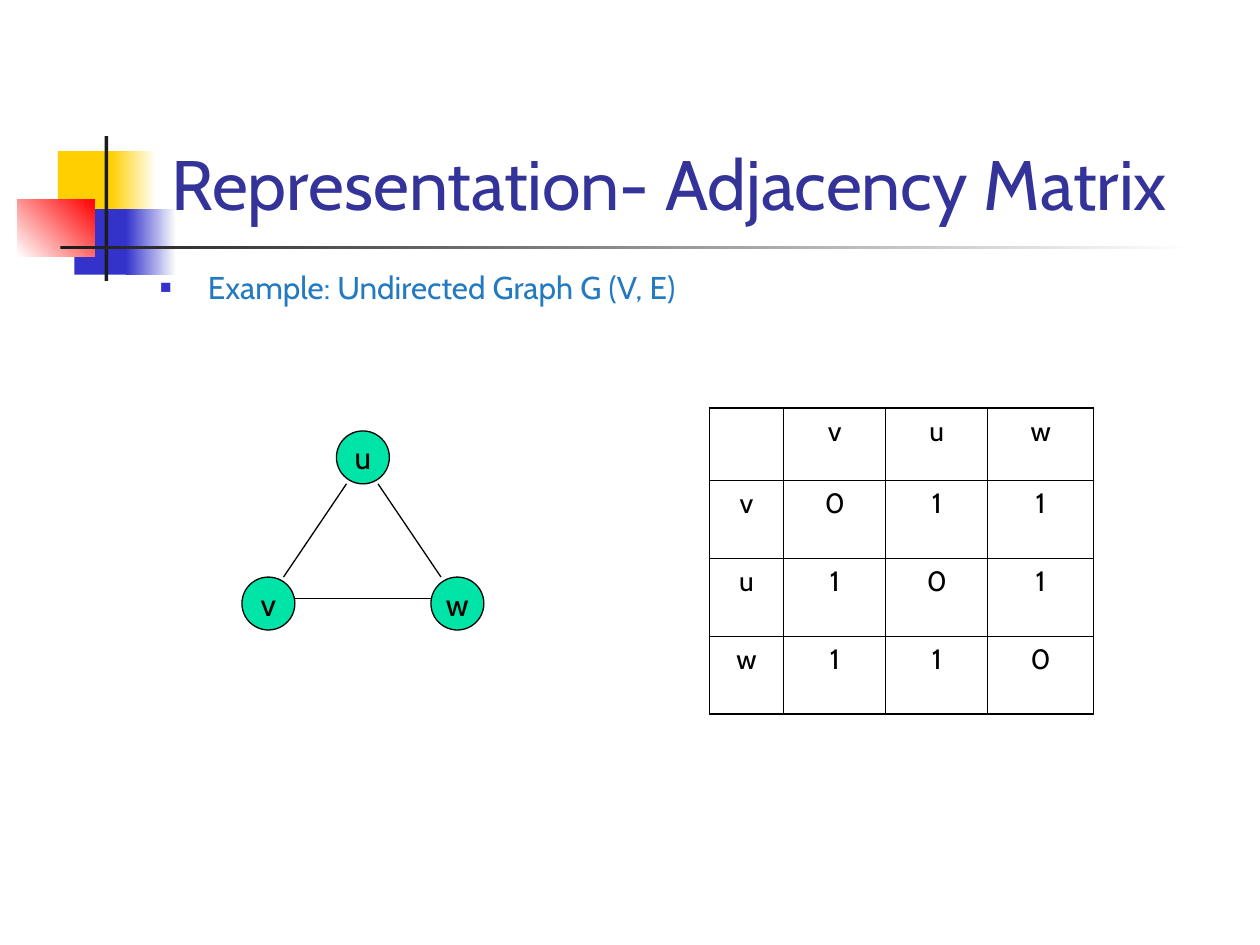
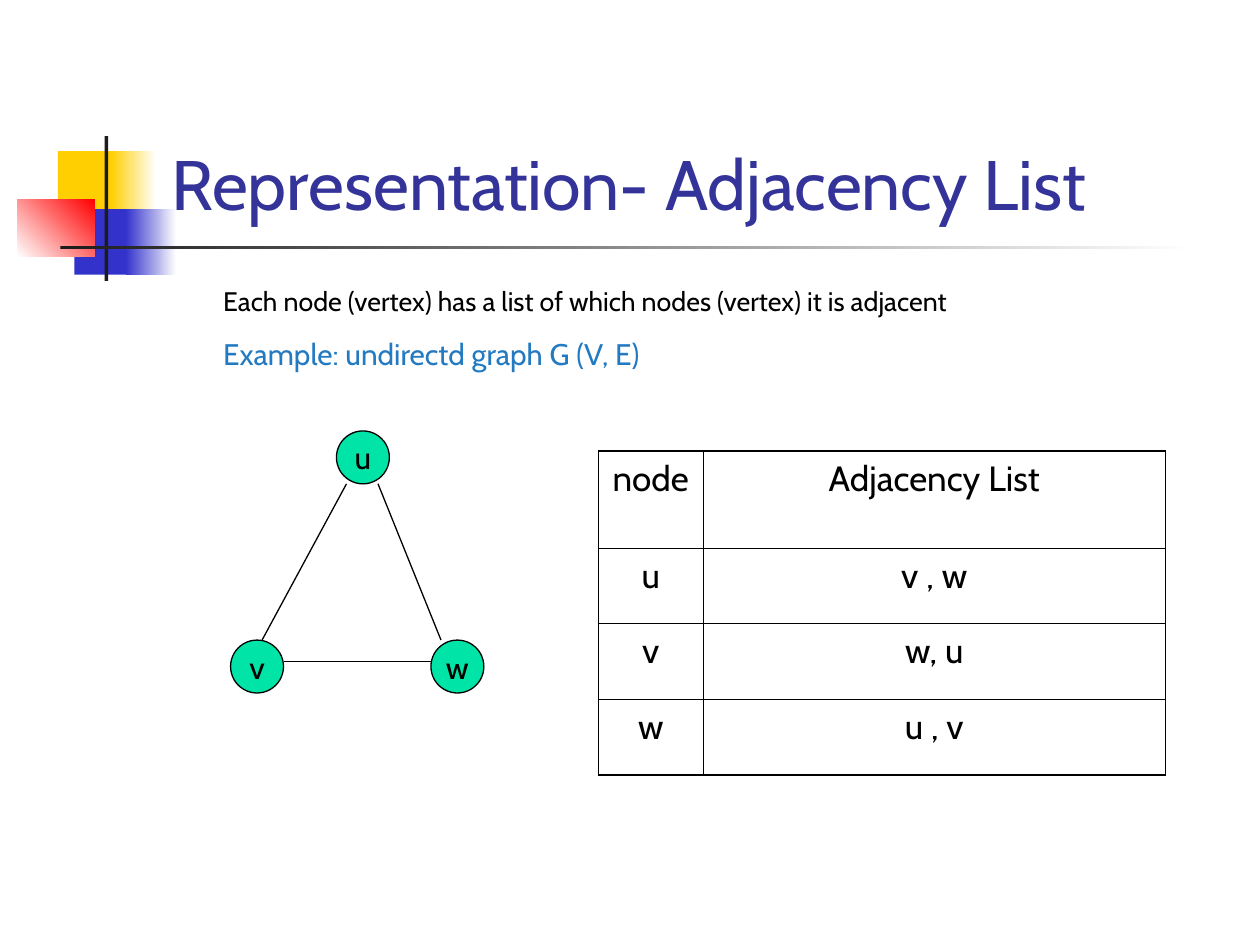
from lxml import etree
from pptx import Presentation
from pptx.dml.color import RGBColor
from pptx.enum import shapes, text
from pptx.oxml import ns
from pptx.util import Inches, Pt

FONT = "Cabin"
BLACK = RGBColor(0x00, 0x00, 0x00)
WHITE = RGBColor(0xFF, 0xFF, 0xFF)
YELLOW = RGBColor(0xFF, 0xCF, 0x01)
BLUE = RGBColor(0x33, 0x33, 0xCC)
RED = RGBColor(0xFF, 0x00, 0x00)
CHARCOAL = RGBColor(0x1C, 0x1C, 0x1C)
NAVY = RGBColor(0x33, 0x33, 0x99)
SKY = RGBColor(0x23, 0x7A, 0xC1)
MINT = RGBColor(0x00, 0xE4, 0xA8)

# Shared band: box, colours (two make a gradient), gradient angle
BAND = [
    ((0.46, 1.2, 0.48, 0.52), [YELLOW], 0),
    ((0.88, 1.2, 0.36, 0.52), [YELLOW, WHITE], 0),
    ((0.59, 1.66, 0.46, 0.52), [BLUE], 0),
    ((1.0, 1.66, 0.4, 0.52), [BLUE, WHITE], 0),
    ((0.14, 1.58, 0.61, 0.46), [WHITE, RED], 45),
    ((0.83, 1.08, 0.03, 1.15), [CHARCOAL], 0),
    ((0.48, 1.95, 9.0, 0.03), [CHARCOAL, WHITE], 0),
]
TITLE_BOX = (1.26, 0.23, 8.52, 1.6)
NODE_SIZE = 0.42
HANGING = 0.38

SLIDES = [
    {
        "title": "Representation- Adjacency Matrix",
        "body_box": (1.17, 2.08, 7.33, 0.67),
        "bullet": "■",
        "body": [("Example: Undirected Graph G (V, E)", 18, SKY, 0)],
        "nodes": {"u": (2.67, 3.42), "v": (1.92, 4.58), "w": (3.42, 4.58)},
        "v_joint": 0.33,
        "table": {
            "at": (5.63, 3.24), "size": 16,
            "columns": [0.59, 0.81, 0.81, 0.84],
            "rows": [0.57, 0.62, 0.62, 0.62],
            "cells": [["", "v", "u", "w"],
                      ["v", "0", "1", "1"],
                      ["u", "1", "0", "1"],
                      ["w", "1", "1", "0"]],
        },
    },
    {
        "title": "Representation- Adjacency List",
        "body_box": (1.29, 2.21, 8.04, 0.96),
        "bullet": None,
        "body": [
            ("Each node (vertex) has a list of which nodes (vertex) it is adjacent",
             15.3, BLACK, 0),
            ("Example: undirectd graph G (V, E)", 17, SKY, 11),
        ],
        "nodes": {"u": (2.67, 3.42), "v": (1.83, 5.08), "w": (3.42, 5.08)},
        "v_joint": 0.25,
        "table": {
            "at": (4.75, 3.58), "size": 20,
            "columns": [0.83, 3.67],
            "rows": [0.77, 0.6, 0.6, 0.6],
            "cells": [["node", "Adjacency List"],
                      ["u", "v , w"],
                      ["v", "w, u"],
                      ["w", "u , v"]],
        },
    },
]


def inches(values):
    return [Inches(value) for value in values]


def style(font, size, color):
    font.name, font.size, font.bold = FONT, Pt(size), False
    font.color.rgb = color


def add_element(parent, tag, **attributes):
    return etree.SubElement(parent, ns.qn(tag), attributes)


def add_band(page, layout):
    """Draw the band, then move it behind the layout's placeholders."""
    tree = layout.element.cSld.spTree
    for index, (box, colors, angle) in enumerate(BAND):
        block = page.shapes.add_shape(shapes.MSO_SHAPE.RECTANGLE, *inches(box))
        block.shadow.inherit = False
        block.line.fill.background()
        if len(colors) == 1:
            block.fill.solid()
            block.fill.fore_color.rgb = colors[0]
        else:
            block.fill.gradient()
            block.fill.gradient_angle = angle
            for stop, color in zip(block.fill.gradient_stops, colors):
                stop.color.rgb = color
        block.element.nvSpPr.cNvPr.set("id", str(100 + index))
        tree.insert(2 + index, block.element)


def place(placeholder, box, anchor):
    placeholder.left, placeholder.top, placeholder.width, placeholder.height = inches(box)
    frame = placeholder.text_frame
    frame.auto_size = text.MSO_AUTO_SIZE.NONE
    frame.vertical_anchor = anchor
    return frame


def fill_title(page, title):
    frame = place(page.shapes.title, TITLE_BOX, text.MSO_ANCHOR.BOTTOM)
    frame.text = title
    para = frame.paragraphs[0]
    para.alignment = text.PP_ALIGN.LEFT
    style(para.runs[0].font, 40, NAVY)


def fill_body(page, content):
    frame = place(page.placeholders[1], content["body_box"], text.MSO_ANCHOR.TOP)
    frame.text = "\n".join(line[0] for line in content["body"])
    for para, (_, size, color, before) in zip(frame.paragraphs, content["body"]):
        props = para._p.get_or_add_pPr()
        props.set("marL", str(Inches(HANGING)))
        if content["bullet"]:
            props.set("indent", str(-Inches(HANGING)))
            add_element(add_element(props, "a:buClr"), "a:srgbClr", val=str(BLUE))
            add_element(props, "a:buSzPct", val="60000")
            add_element(props, "a:buChar", char=content["bullet"])
        else:
            props.set("indent", "0")
            add_element(props, "a:buNone")
        para.alignment = text.PP_ALIGN.LEFT if content["bullet"] else text.PP_ALIGN.JUSTIFY
        para.space_before = Pt(before)
        style(para.runs[0].font, size, color)


def add_graph(page, nodes, v_joint):
    for name, corner in nodes.items():
        node = page.shapes.add_shape(
            shapes.MSO_SHAPE.OVAL, *inches(corner + (NODE_SIZE, NODE_SIZE)))
        node.shadow.inherit = False
        node.fill.solid()
        node.fill.fore_color.rgb = MINT
        node.line.color.rgb = BLACK
        node.line.width = Pt(0.75)
        frame = node.text_frame
        frame.text = name
        frame.word_wrap = False
        frame.vertical_anchor = text.MSO_ANCHOR.MIDDLE
        frame.paragraphs[0].alignment = text.PP_ALIGN.CENTER
        style(frame.paragraphs[0].runs[0].font, 18, BLACK)

    # Edges leave u from below and reach v and w from above
    (u_left, u_top), (v_left, v_top), (w_left, w_top) = (nodes[name] for name in "uvw")
    u_bottom = u_top + NODE_SIZE
    edges = [
        (v_left + NODE_SIZE, v_top + 0.17, w_left, w_top + 0.17),
        (u_left + 0.33, u_bottom, w_left + 0.08, w_top),
        (u_left + 0.08, u_bottom, v_left + v_joint, v_top),
    ]
    for ends in edges:
        edge = page.shapes.add_connector(shapes.MSO_CONNECTOR.STRAIGHT, *inches(ends))
        edge.line.color.rgb = BLACK
        edge.line.width = Pt(0.75)
        add_element(edge.element.spPr, "a:effectLst")


def add_borders(cell, outer_sides):
    props = cell._tc.get_or_add_tcPr()
    for side, is_outer in zip("LRTB", outer_sides):
        width = Pt(1.08 if is_outer else 0.45)
        line = add_element(props, f"a:ln{side}", w=str(width))
        add_element(add_element(line, "a:solidFill"), "a:srgbClr", val=str(BLACK))


def add_grid(page, at, size, columns, rows, cells):
    box = at + (sum(columns), sum(rows))
    table = page.shapes.add_table(len(rows), len(columns), *inches(box)).table
    table.first_row = table.horz_banding = False
    for column, width in zip(table.columns, columns):
        column.width = Inches(width)
    for row, height in zip(table.rows, rows):
        row.height = Inches(height)
    for r, values in enumerate(cells):
        for c, value in enumerate(values):
            cell = table.cell(r, c)
            add_borders(cell, (c == 0, c == len(columns) - 1, r == 0, r == len(rows) - 1))
            cell.fill.background()
            cell.text = value
            para = cell.text_frame.paragraphs[0]
            para.alignment = text.PP_ALIGN.CENTER
            for span in para.runs:
                style(span.font, size, BLACK)


def main():
    deck = Presentation()
    deck.slide_width, deck.slide_height = Inches(10), Inches(7.5)
    layout = deck.slide_layouts[1]
    for number, content in enumerate(SLIDES):
        page = deck.slides.add_slide(layout)
        if number == 0:
            add_band(page, layout)
        fill_title(page, content["title"])
        fill_body(page, content)
        add_graph(page, content["nodes"], content["v_joint"])
        add_grid(page, **content["table"])
    deck.save("out.pptx")


if __name__ == "__main__":
    main()
